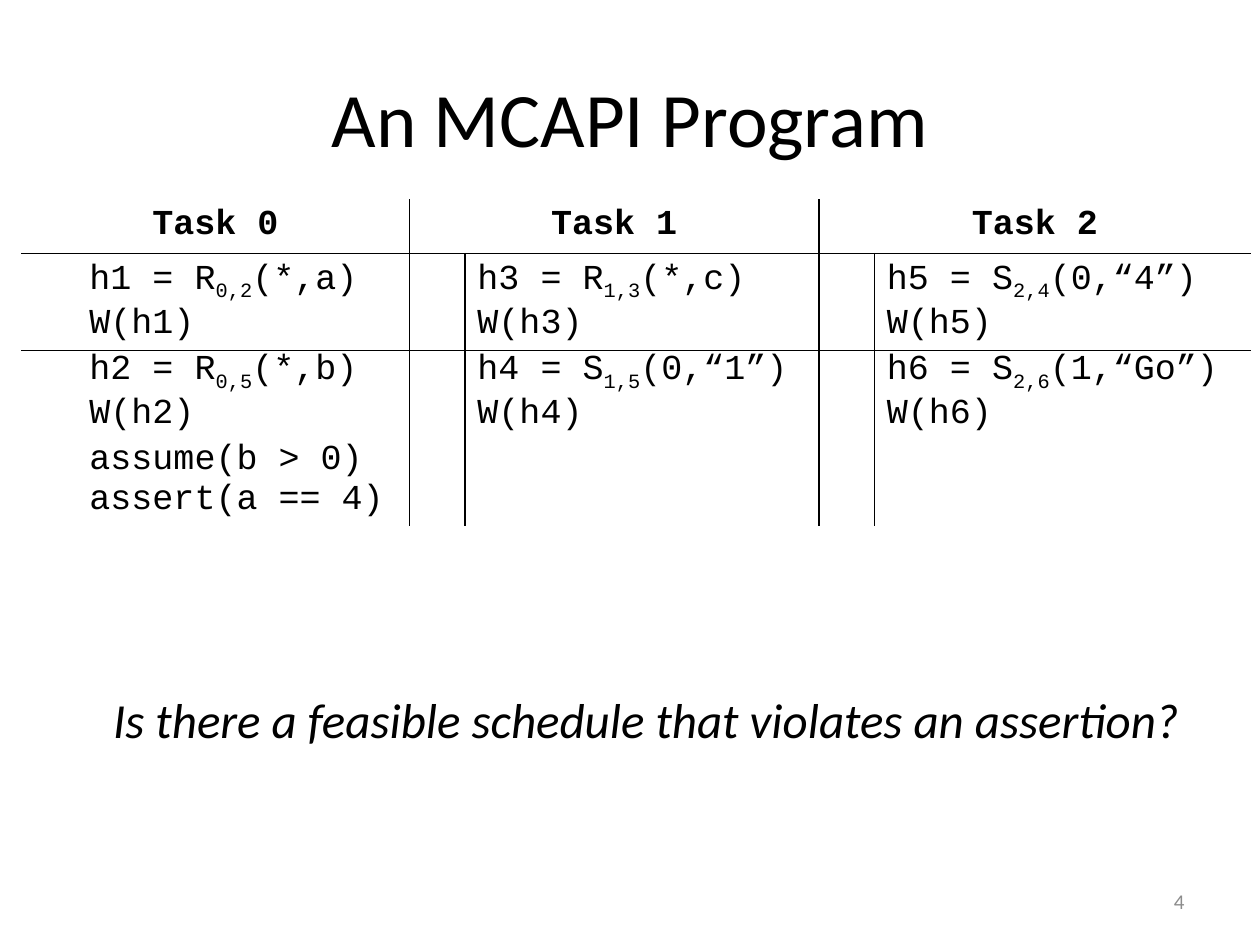
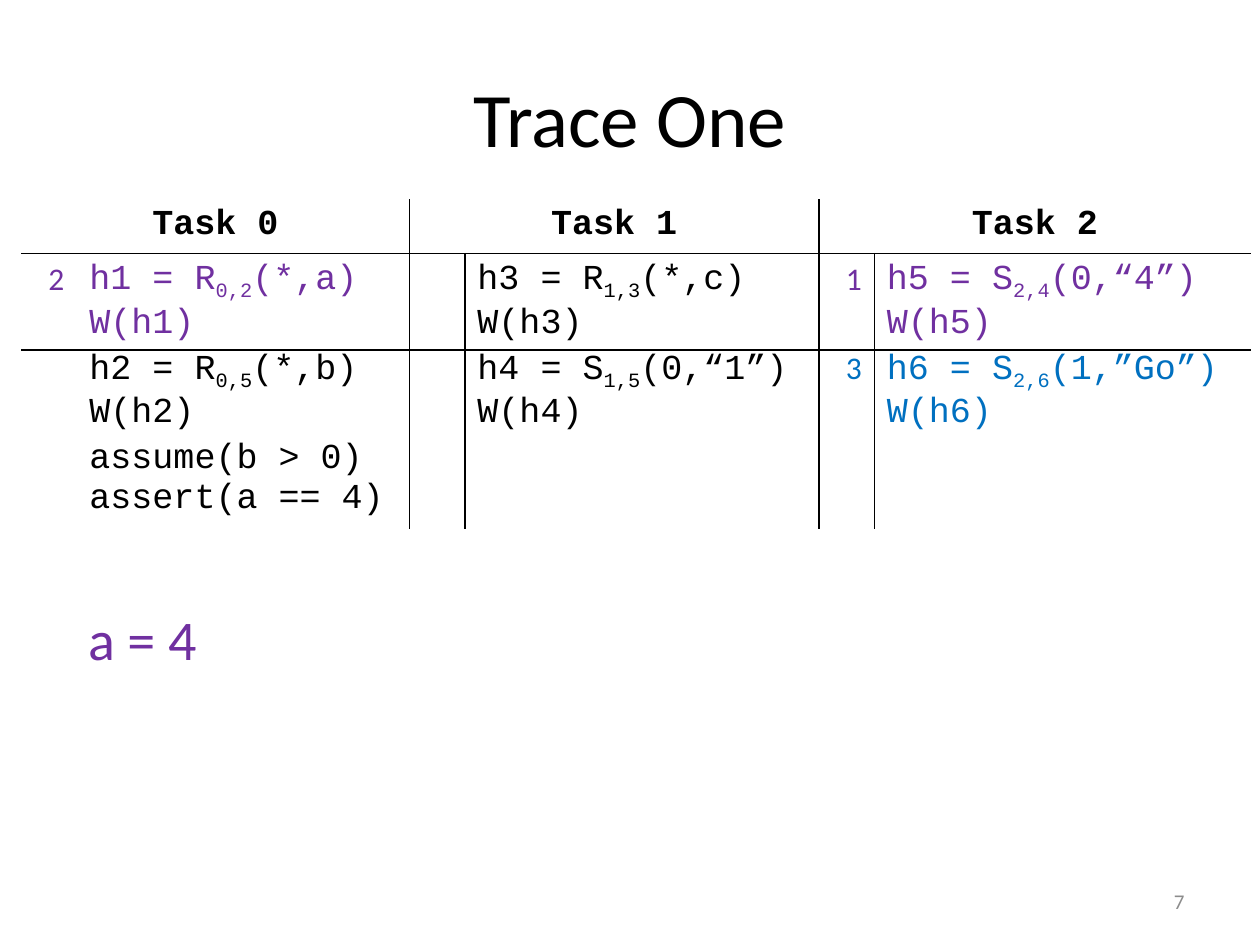
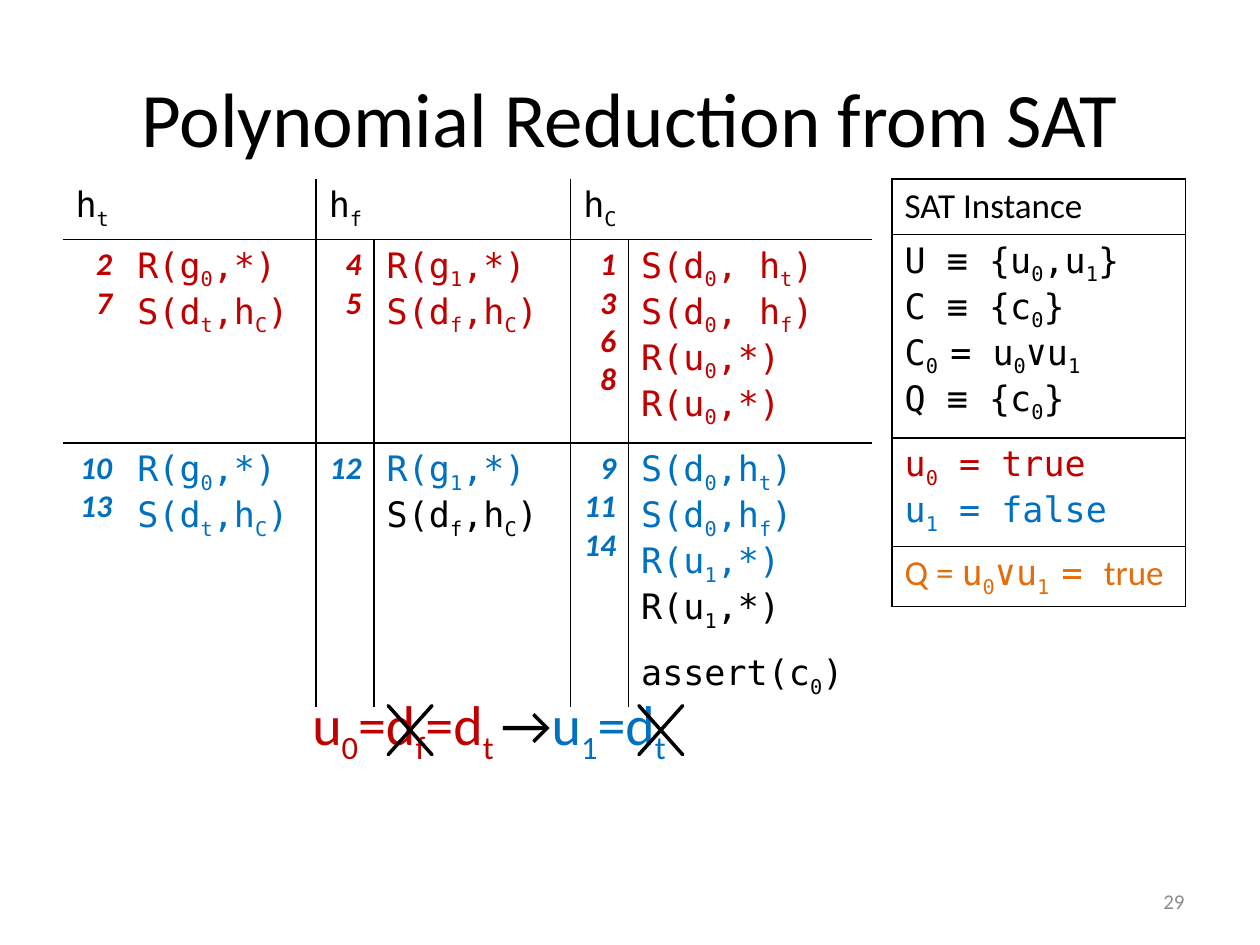
"""Build three slides on message-passing programs and their SAT reduction."""
from dataclasses import dataclass, replace

from lxml import etree
from pptx import Presentation
from pptx.dml.color import RGBColor
from pptx.enum.shapes import MSO_SHAPE
from pptx.enum.text import MSO_ANCHOR, PP_ALIGN
from pptx.oxml.ns import qn
from pptx.util import Pt

LEFT, CENTER, RIGHT = PP_ALIGN.LEFT, PP_ALIGN.CENTER, PP_ALIGN.RIGHT
TOP, MIDDLE = MSO_ANCHOR.TOP, MSO_ANCHOR.MIDDLE
CROSS = MSO_SHAPE.MATH_MULTIPLY

EMU_PER_PX = 9144
COLORS = {
    "black": "000000",
    "white": "FFFFFF",
    "gray": "8C8C8C",
    "purple": "7030A0",
    "blue": "0070C0",
    "red": "C00000",
    "orange": "E46C0A",
}
PLAIN_TABLE_STYLE = "{2D5ABB26-0587-4C30-8999-92F81FD0307C}"
SUBSCRIPT_MARK = "~"


@dataclass(frozen=True)
class Style:
    """Look of a stretch of text."""
    size: int
    font: str = "Calibri"
    color: str = "black"
    bold: bool = False
    italic: bool = False


@dataclass(frozen=True)
class Span:
    """Styled text whose subscripts stand between marks."""
    markup: str
    style: Style


@dataclass(frozen=True)
class Box:
    """Place and size in px."""
    left: int
    top: int
    width: int
    height: int


@dataclass(frozen=True)
class Block:
    """Statements of one task with the trace steps that ran them."""
    lines: tuple[str, ...] = ()
    steps: tuple[str, ...] = ()
    color: str = "black"
    pending: int = 0


@dataclass(frozen=True)
class TaskTable:
    """Tasks side by side, each with a step column and a code column."""
    left: int
    top: int
    columns: tuple[int, ...]
    rows: tuple[int, ...]
    headings: tuple[str, ...]
    blocks: tuple[tuple[Block, ...], ...]
    heading: Style
    heading_align: PP_ALIGN
    code: Style
    step: Style
    fill: str | None = None
    tight: bool = False


Line = tuple[Span, ...]
Trace = dict[str, tuple[str, str]]

TITLE_BOX = Box(50, 30, 900, 125)
NUMBER_BOX = Box(717, 695, 233, 40)
TITLE = Style(44)
NUMBER = Style(12, color="gray")
COURIER = Style(20, "Courier New")
MONO = Style(20, "DejaVu Sans Mono")
BODY = Style(20)
STEP = Style(18)
BIG = Style(32)


def px(length: int) -> int:
    """Turn px into EMU."""
    return length * EMU_PER_PX


def place(box: Box) -> tuple[int, int, int, int]:
    """Give a box in EMU."""
    return px(box.left), px(box.top), px(box.width), px(box.height)


def rgb(color: str) -> RGBColor:
    """Look up a colour."""
    return RGBColor.from_string(COLORS[color])


def write(frame, lines: list[Line], align: PP_ALIGN = LEFT) -> None:
    """Fill a text frame, one paragraph per line."""
    for index, line in enumerate(lines):
        paragraph = frame.add_paragraph() if index else frame.paragraphs[0]
        paragraph.alignment = align
        for span in line:
            for part, text in enumerate(span.markup.split(SUBSCRIPT_MARK)):
                if not text:
                    continue
                run = paragraph.add_run()
                run.text = text
                run.font.name = span.style.font
                run.font.size = Pt(span.style.size)
                run.font.bold = span.style.bold
                run.font.italic = span.style.italic
                run.font.color.rgb = rgb(span.style.color)
                if part % 2:
                    run._r.get_or_add_rPr().set("baseline", "-25000")


def add_text(slide, box: Box, line: Line, align: PP_ALIGN = LEFT,
             anchor: MSO_ANCHOR = TOP, wrap: bool = True) -> None:
    """Add a one-line text box."""
    frame = slide.shapes.add_textbox(*place(box)).text_frame
    frame.word_wrap = wrap
    frame.vertical_anchor = anchor
    write(frame, [line], align)


def start_slide(deck, title: str, number: str):
    """Add a slide with its title and number."""
    slide = deck.slides.add_slide(deck.slide_layouts[5])
    heading = slide.shapes.title
    heading.left, heading.top, heading.width, heading.height = place(TITLE_BOX)
    heading.text_frame.vertical_anchor = MIDDLE
    write(heading.text_frame, [(Span(title, TITLE),)], CENTER)
    add_text(slide, NUMBER_BOX, (Span(number, NUMBER),), RIGHT, MIDDLE)
    return slide


def add_plain_table(slide, left: int, top: int, columns: tuple[int, ...],
                    rows: tuple[int, ...]):
    """Add a table without style."""
    box = Box(left, top, sum(columns), sum(rows))
    table = slide.shapes.add_table(len(rows), len(columns), *place(box)).table
    table.first_row = table.horz_banding = False
    table._tbl.tblPr.find(qn("a:tableStyleId")).text = PLAIN_TABLE_STYLE
    for column, width in zip(table.columns, columns):
        column.width = px(width)
    for row, height in zip(table.rows, rows):
        row.height = px(height)
    return table


def finish_cell(cell, sides: str, fill: str | None = None) -> None:
    """Rule the given sides of a cell and set its fill."""
    properties = cell._tc.get_or_add_tcPr()
    for side in sides:
        border = etree.SubElement(properties, qn(f"a:ln{side}"), w=str(Pt(1)))
        solid = etree.SubElement(border, qn("a:solidFill"))
        etree.SubElement(solid, qn("a:srgbClr"), val=COLORS["black"])
    if fill:
        cell.fill.solid()
        cell.fill.fore_color.rgb = rgb(fill)
    else:
        cell.fill.background()


def task_sides(row: int, column: int, last: int) -> str:
    """Name the ruled sides of a cell in a task table."""
    is_code = column % 2 == 1
    sides = "L" if column and not is_code else ""
    if (is_code or row == 0) and column < last - 1:
        sides += "R"
    return sides + {0: "B", 1: "T"}.get(row, "")


def add_task_table(slide, spec: TaskTable) -> None:
    """Draw tasks with their steps and statements."""
    table = add_plain_table(slide, spec.left, spec.top, spec.columns, spec.rows)
    last = len(spec.columns) - 1
    for row in range(len(spec.rows)):
        for column in range(last + 1):
            cell = table.cell(row, column)
            finish_cell(cell, task_sides(row, column, last), spec.fill)
            if spec.tight and row:
                cell.margin_bottom = 0
                cell.margin_top = px(5 if row == 1 else 0)
    for task, heading in enumerate(spec.headings):
        cell = table.cell(0, 2 * task)
        cell.merge(table.cell(0, 2 * task + 1))
        write(cell.text_frame, [(Span(heading, spec.heading),)], spec.heading_align)
    for row, blocks in enumerate(spec.blocks, 1):
        for task, block in enumerate(blocks):
            step = replace(spec.step, color=block.color)
            done = len(block.lines) - block.pending
            code = [
                (Span(text, replace(spec.code, color=block.color if i < done else "black")),)
                for i, text in enumerate(block.lines)
            ]
            write(table.cell(row, 2 * task).text_frame,
                  [(Span(text, step),) for text in block.steps], RIGHT)
            write(table.cell(row, 2 * task + 1).text_frame, code)


def call(handle: str, operation: str, trace: Trace) -> Block:
    """Give a call and its wait, marked when the trace ran them."""
    lines = (f"{handle} = {operation}", f"W({handle})")
    if handle not in trace:
        return Block(lines)
    step, color = trace[handle]
    return Block(lines, (step,), color)


def add_program(slide, rows: tuple[int, ...], trace: Trace, go: str) -> None:
    """Draw the three-task program."""
    blocks = (
        (call("h1", "R~0,2~(*,a)", trace), call("h3", "R~1,3~(*,c)", trace),
         call("h5", "S~2,4~(0,“4”)", trace)),
        (call("h2", "R~0,5~(*,b)", trace), call("h4", "S~1,5~(0,“1”)", trace),
         call("h6", f"S~2,6~(1,{go})", trace)),
        (Block(("assume(b > 0)", "assert(a == 4)")),),
    )
    add_task_table(slide, TaskTable(
        17, 158, (44, 264, 44, 281, 44, 299), rows, ("Task 0", "Task 1", "Task 2"),
        blocks, replace(COURIER, bold=True), CENTER, COURIER, STEP, "white", True))


def add_reduction(slide) -> None:
    """Draw the tasks that encode the SAT instance."""
    receive_t, send_t = "R(g~0~,*)", "S(d~t~,h~C~)"
    receive_f, send_f = "R(g~1~,*)", "S(d~f~,h~C~)"
    blocks = (
        (Block((receive_t, send_t), ("2", "7"), "red"),
         Block((receive_f, send_f), ("4", "5"), "red"),
         Block(("S(d~0~, h~t~)", "S(d~0~, h~f~)", "R(u~0~,*)", "R(u~0~,*)"),
               ("1", "3", "6", "8"), "red")),
        (Block((receive_t, send_t), ("10", "13"), "blue"),
         Block((receive_f, send_f), ("12",), "blue", 1),
         Block(("S(d~0~,h~t~)", "S(d~0~,h~f~)", "R(u~1~,*)", "R(u~1~,*)"),
               ("9", "11", "14"), "blue", 1)),
        (Block(), Block(), Block(("assert(c~0~)",))),
    )
    add_task_table(slide, TaskTable(
        50, 142, (49, 152, 46, 156, 46, 193), (46, 156, 156, 45),
        ("h~t~", "h~f~", "h~C~"), blocks, MONO, LEFT, MONO,
        replace(STEP, bold=True, italic=True)))


def add_sat_instance(slide) -> None:
    """Draw the SAT instance with its assignment and value."""
    definitions = ("U ≡ {u~0~,u~1~}", "C ≡ {c~0~}", "C~0 ~= u~0~∨u~1~", "Q ≡ {c~0~}")
    orange = replace(BODY, color="orange")
    sections: list[list[Line]] = [
        [(Span("SAT Instance", BODY),)],
        [(Span(text, MONO),) for text in definitions],
        [(Span("u~0~ = true", replace(MONO, color="red")),),
         (Span("u~1~ = false", replace(MONO, color="blue")),)],
        [(Span("Q = ", orange), Span("u~0~∨u~1 ~= ", replace(MONO, color="orange")),
          Span("true", orange))],
    ]
    table = add_plain_table(slide, 708, 142, (233,), (44, 156, 83, 47))
    for row, section in enumerate(sections):
        finish_cell(table.cell(row, 0), "LRTB")
        write(table.cell(row, 0).text_frame, section)


def add_cross(slide, box: Box) -> None:
    """Cross out a term."""
    cross = slide.shapes.add_shape(CROSS, *place(box))
    cross.adjustments[0] = 0
    cross.shadow.inherit = False
    cross.fill.solid()
    cross.fill.fore_color.rgb = rgb("black")
    cross.line.color.rgb = rgb("black")
    cross.line.width = Pt(2)


def main() -> None:
    """Build and save the deck."""
    deck = Presentation()
    deck.slide_width, deck.slide_height = px(1000), px(750)

    program = start_slide(deck, "An MCAPI Program", "4")
    question = "Is there a feasible schedule that violates an assertion?"
    add_text(program, Box(25, 542, 975, 57),
             (Span(question, Style(28, italic=True)),), CENTER)
    add_program(program, (43, 77, 71, 68), {}, "“Go”")

    trace_one = start_slide(deck, "Trace One", "7")
    trace = {"h5": ("1", "purple"), "h1": ("2", "purple"), "h6": ("3", "blue")}
    add_program(trace_one, (41, 72, 65, 71), trace, "”Go”")
    add_text(trace_one, Box(60, 475, 128, 64),
             (Span("a = 4", replace(BIG, color="purple")),), wrap=False)

    reduction = start_slide(deck, "Polynomial Reduction from SAT", "29")
    add_sat_instance(reduction)
    add_reduction(reduction)
    add_text(reduction, Box(238, 542, 525, 64), (
        Span("u~0~=d~f~=d~t ~", replace(BIG, color="red")),
        Span("→", BIG),
        Span("u~1~=d~t~", replace(BIG, color="blue")),
    ))
    for left in (292, 491):
        add_cross(reduction, Box(left, 542, 67, 75))

    deck.save("out.pptx")


if __name__ == "__main__":
    main()
